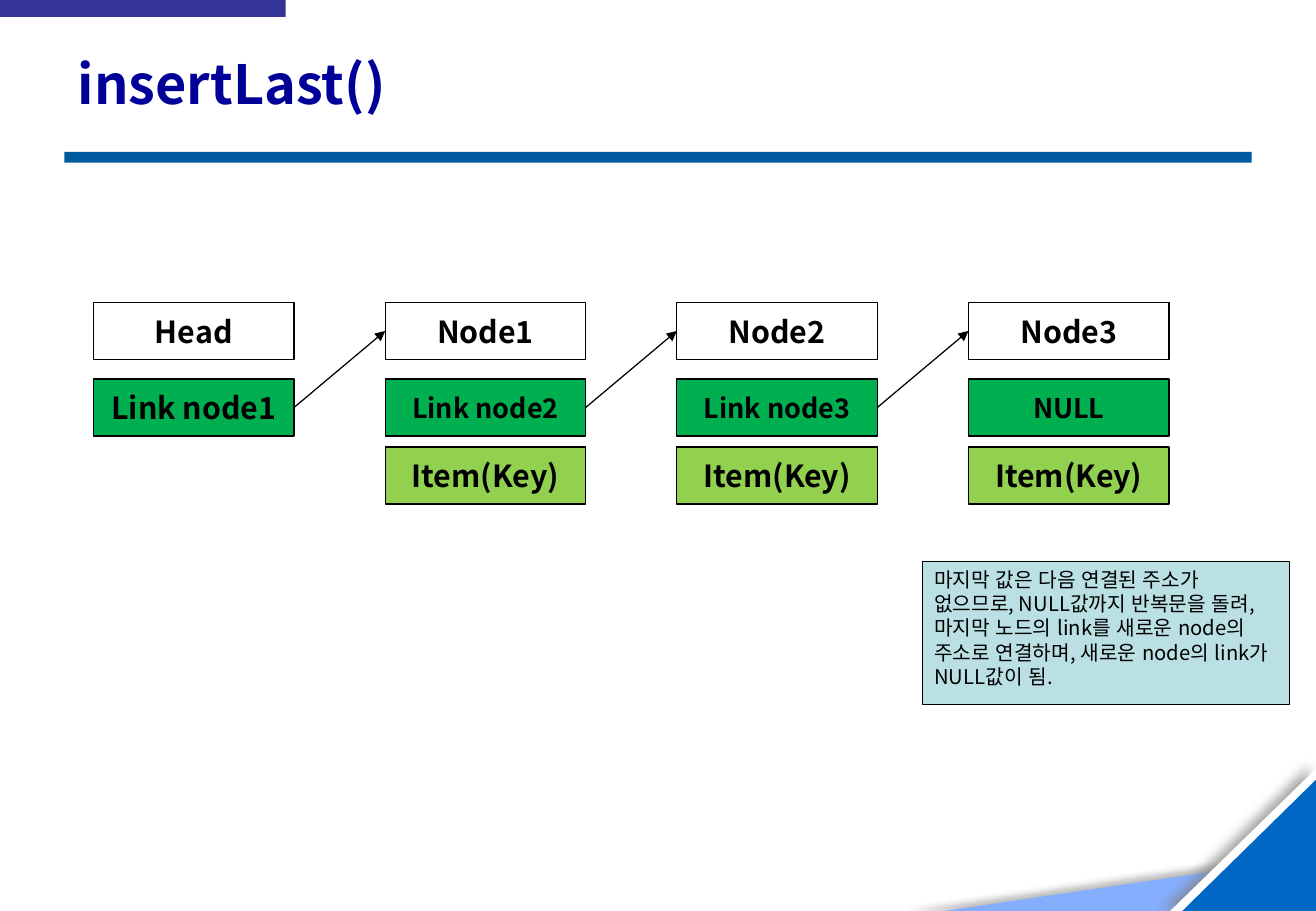
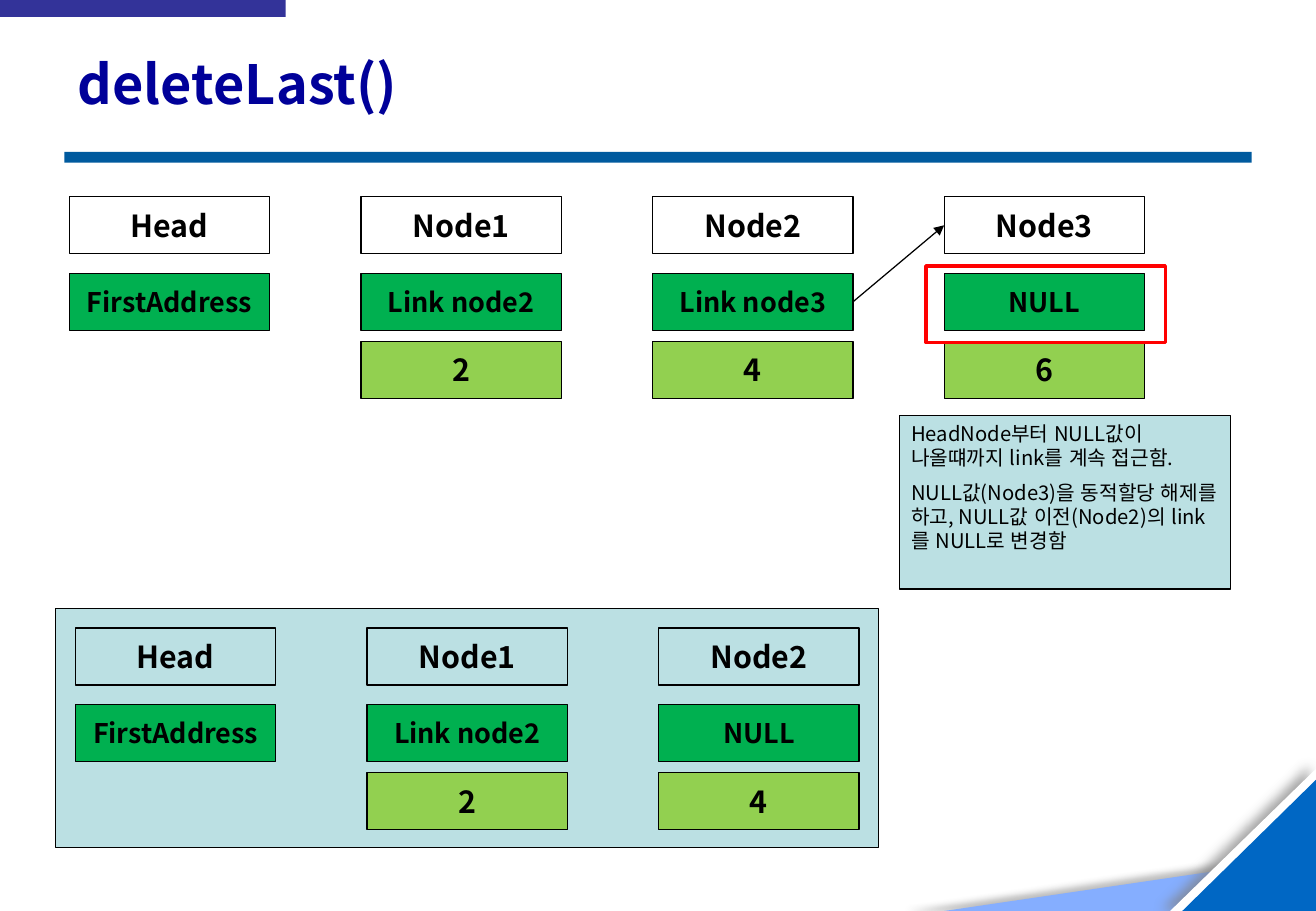
import dataclasses

import lxml.etree
import pptx
import pptx.dml.color
import pptx.enum.lang
import pptx.enum.shapes
import pptx.enum.text
import pptx.oxml.ns
import pptx.util

Inches = pptx.util.Inches
Pt = pptx.util.Pt
qn = pptx.oxml.ns.qn
SHAPES = pptx.enum.shapes.MSO_SHAPE
ALIGN = pptx.enum.text.PP_ALIGN
ANCHOR = pptx.enum.text.MSO_ANCHOR


@dataclasses.dataclass(frozen=True)
class Theme:
    font: str = "Noto Sans CJK KR"
    ink: str = "000000"
    title: str = "000099"
    rule: str = "005A9E"
    tab: str = "333399"
    link: str = "00B050"
    key: str = "92D050"
    panel: str = "BBE0E3"
    alert: str = "FF0000"
    corner_light: str = "85AEFF"
    corner_edge: str = "FFFFFF"
    corner_dark: str = "0067C4"
    title_size: int = 32
    label_size: int = 18
    link_size: int = 16
    note_size: int = 12
    line_width: float = 0.75
    alert_width: float = 2


THEME = Theme()
BOX_WIDTH, BOX_HEIGHT = 1.65, 0.47
COLUMN_PITCH = 2.4
LINK_OFFSET, KEY_OFFSET = 0.63, 1.19


@dataclasses.dataclass(frozen=True)
class Node:
    name: str
    link: str
    key: str = ""
    link_size: int = THEME.link_size
    arrow: bool = False


def rgb(color):
    return pptx.dml.color.RGBColor.from_string(color)


def write_text(frame, *paragraphs, size, color=THEME.ink, bold=False,
               align=ALIGN.LEFT, anchor=ANCHOR.TOP):
    frame.word_wrap = True
    frame.vertical_anchor = anchor
    for index, text in enumerate(paragraphs):
        para = frame.add_paragraph() if index else frame.paragraphs[0]
        para.alignment = align
        para.space_before = Pt(size / 2 if index else 0)
        span = para.add_run()
        span.text = text
        span.font.size = Pt(size)
        span.font.bold = bold
        span.font.name = THEME.font
        span.font.color.rgb = rgb(color)
        span.font.language_id = pptx.enum.lang.MSO_LANGUAGE_ID.KOREAN
        east_asian = lxml.etree.SubElement(span._r.get_or_add_rPr(), qn("a:ea"))
        east_asian.set("typeface", THEME.font)


def add_box(page, left, top, width, height, fill=None, line=THEME.ink,
            line_width=THEME.line_width, kind=SHAPES.RECTANGLE):
    box = page.shapes.add_shape(
        kind, Inches(left), Inches(top), Inches(width), Inches(height))
    box.shadow.inherit = False
    if fill:
        box.fill.solid()
        box.fill.fore_color.rgb = rgb(fill)
    else:
        box.fill.background()
    if line:
        box.line.color.rgb = rgb(line)
        box.line.width = Pt(line_width)
    else:
        box.line.fill.background()
    return box


def add_label(page, text, left, top, fill=None, size=THEME.label_size):
    box = add_box(page, left, top, BOX_WIDTH, BOX_HEIGHT, fill)
    write_text(box.text_frame, text, size=size, bold=True,
               align=ALIGN.CENTER, anchor=ANCHOR.MIDDLE)
    return box


def add_note(page, left, top, width, height, *paragraphs):
    box = add_box(page, left, top, width, height, THEME.panel)
    write_text(box.text_frame, *paragraphs, size=THEME.note_size)


def add_arrow(page, source, target):
    arrow = page.shapes.add_connector(
        pptx.enum.shapes.MSO_CONNECTOR.STRAIGHT, 0, 0, 0, 0)
    arrow.begin_connect(source, 3)
    arrow.end_connect(target, 1)
    arrow.line.color.rgb = rgb(THEME.ink)
    arrow.line.width = Pt(THEME.line_width)
    properties = arrow.element.spPr
    tail = lxml.etree.SubElement(properties.find(qn("a:ln")), qn("a:tailEnd"))
    tail.set("type", "triangle")
    lxml.etree.SubElement(properties, qn("a:effectLst"))


def add_linked_list(page, left, top, nodes):
    source = None
    for column, node in enumerate(nodes):
        x = left + column * COLUMN_PITCH
        heading = add_label(page, node.name, x, top)
        link = add_label(page, node.link, x, top + LINK_OFFSET,
                         THEME.link, node.link_size)
        if node.key:
            add_label(page, node.key, x, top + KEY_OFFSET, THEME.key)
        if source:
            add_arrow(page, source, heading)
        source = link if node.arrow else None


def add_shadow(shape, color, opacity, blur, distance, angle):
    effects = shape.element.spPr.find(qn("a:effectLst"))
    shadow = lxml.etree.SubElement(effects, qn("a:outerShdw"))
    shadow.set("blurRad", str(Pt(blur)))
    shadow.set("dist", str(Pt(distance)))
    shadow.set("dir", str(angle * 60000))
    shadow.set("rotWithShape", "0")
    tint = lxml.etree.SubElement(shadow, qn("a:srgbClr"))
    tint.set("val", color)
    lxml.etree.SubElement(tint, qn("a:alpha")).set("val", str(opacity * 1000))


def add_corner(page, left, top, width, height, fill, shadow=None):
    corner = add_box(page, left, top, width, height, fill, line=None,
                     kind=SHAPES.RIGHT_TRIANGLE)
    corner.element.spPr.xfrm.set("flipH", "1")
    if shadow:
        add_shadow(corner, *shadow)
    return corner


def style_layout(layout, page):
    title = layout.placeholders[0]
    title.left, title.top = Inches(0.54), Inches(0.3)
    title.width, title.height = Inches(9.75), Inches(0.77)
    decorations = [
        add_corner(page, 7.77, 7.05, 3.06, 0.45, THEME.corner_light,
                   ("595959", 40, 4, 22, 180)),
        add_corner(page, 9.63, 6.32, 1.21, 1.18, THEME.corner_edge,
                   ("808080", 69, 7, 5, 190)),
        add_corner(page, 9.73, 6.42, 1.1, 1.08, THEME.corner_dark),
        add_box(page, 0.53, 1.25, 9.77, 0.09, THEME.rule, line=None),
        add_box(page, 0, 0, 2.35, 0.14, THEME.tab, line=None),
    ]
    for number, shape in enumerate(decorations, start=100):
        shape.element.nvSpPr.cNvPr.set("id", str(number))
        layout.shapes.element.append(shape.element)


def add_page(deck, layout, title):
    page = deck.slides.add_slide(layout)
    write_text(page.shapes.title.text_frame, title, size=THEME.title_size,
               color=THEME.title, bold=True, anchor=ANCHOR.MIDDLE)
    return page


def build_insert_page(page):
    add_linked_list(page, 0.77, 2.49, [
        Node("Head", "Link node1", link_size=THEME.label_size, arrow=True),
        Node("Node1", "Link node2", "Item(Key)", arrow=True),
        Node("Node2", "Link node3", "Item(Key)", arrow=True),
        Node("Node3", "NULL", "Item(Key)"),
    ])
    add_note(page, 7.59, 4.62, 3.02, 1.18,
             "마지막 값은 다음 연결된 주소가 없으므로, NULL값까지 반복문을 돌려, "
             "마지막 노드의 link를 새로운 node의 주소로 연결하며, "
             "새로운 node의 link가 NULL값이 됨.")


def build_delete_page(page):
    head = Node("Head", "FirstAddress")
    first = Node("Node1", "Link node2", "2")
    add_linked_list(page, 0.57, 1.62, [
        head,
        first,
        Node("Node2", "Link node3", "4", arrow=True),
        Node("Node3", "NULL", "6"),
    ])
    add_box(page, 7.62, 2.19, 1.97, 0.63, line=THEME.alert,
            line_width=THEME.alert_width)
    add_note(page, 7.4, 3.42, 2.73, 1.43,
             "HeadNode부터 NULL값이 나올떄까지 link를 계속 접근함.",
             "NULL값(Node3)을 동적할당 해제를 하고, "
             "NULL값 이전(Node2)의 link를 NULL로 변경함")
    add_box(page, 0.46, 5.01, 6.77, 1.97, THEME.panel)
    add_linked_list(page, 0.62, 5.17, [head, first, Node("Node2", "NULL", "4")])


def main():
    deck = pptx.Presentation()
    deck.slide_width, deck.slide_height = Inches(10.83), Inches(7.5)
    layout = deck.slide_layouts.get_by_name("Title Only")
    insert_page = add_page(deck, layout, "insertLast()")
    style_layout(layout, insert_page)
    build_insert_page(insert_page)
    build_delete_page(add_page(deck, layout, "deleteLast()"))
    deck.save("out.pptx")


if __name__ == "__main__":
    main()
